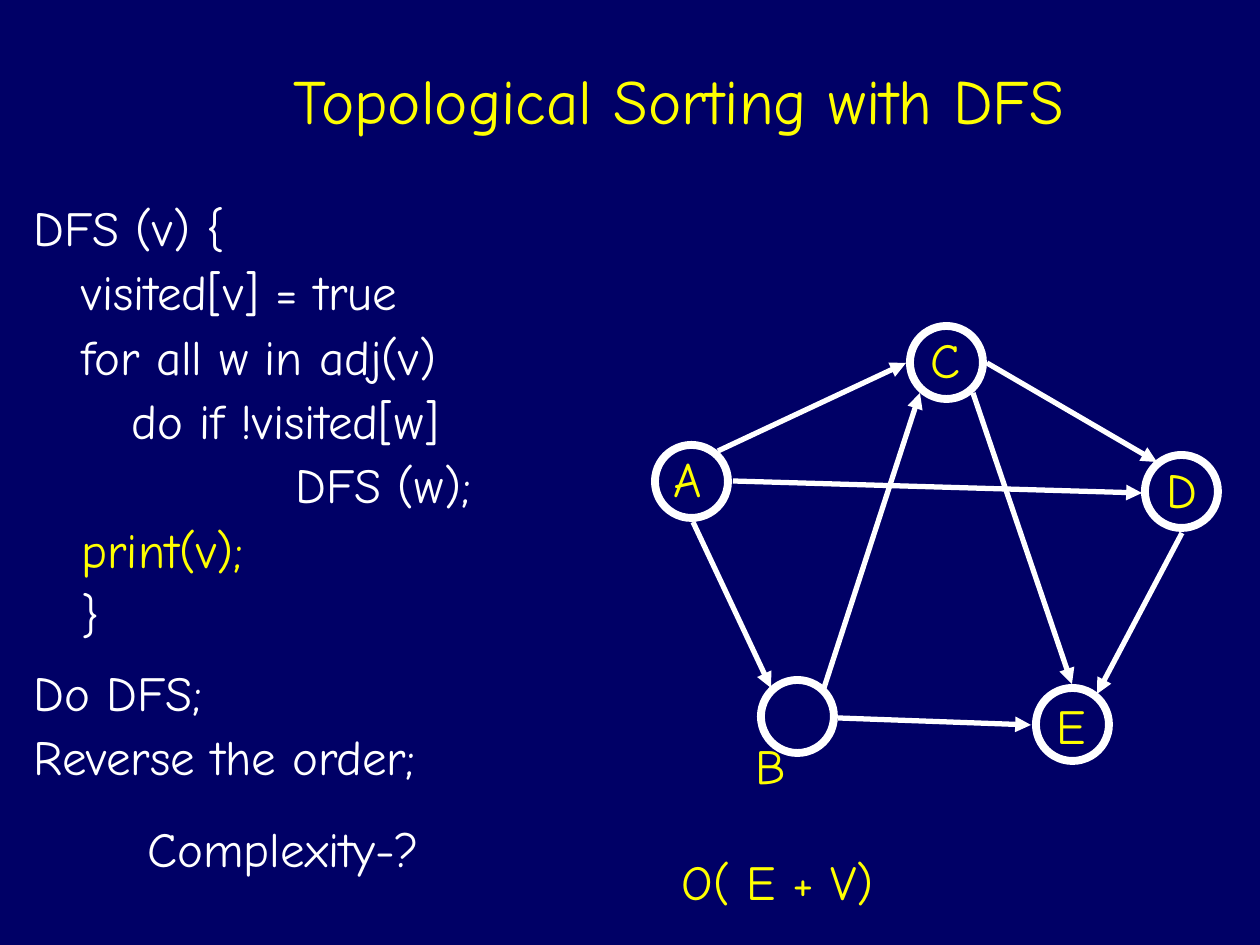
from lxml import etree
from pptx import Presentation
from pptx import util as u
from pptx.dml.color import RGBColor
from pptx.enum import shapes, text
from pptx.oxml.ns import qn

PX = 914400 // 126
FONT = "Comic Neue"
HUES = {"back": "000066", "text": "FFFFFF", "mark": "FFFF00"}
SIZE = 73  # node diameter

# Node: circle left and top, label centre and top
NODES = {
    "A": (655, 445, 688, 449),
    "B": (761, 680, 771, 736),
    "C": (910, 326, 946, 330),
    "D": (1145, 455, 1182, 460),
    "E": (1036, 688, 1071, 696),
}

# Edge: start x, y and end x, y
EDGES = [
    (718, 451, 906, 363),    # A to C
    (693, 522, 771, 688),    # A to B
    (733, 481, 1142, 493),   # A to D
    (838, 718, 1031, 725),   # B to E
    (824, 688, 920, 393),    # B to C
    (987, 363, 1157, 462),   # C to D
    (973, 393, 1072, 684),   # C to E
    (1182, 533, 1097, 694),  # D to E
]

# Code line: indent, wording, colour
CODE = [
    (0, "DFS (v) {", "text"),
    (48, "visited[v] = true", "text"),
    (48, "for all w in adj(v)", "text"),
    (98, "do if !visited[w]", "text"),
    (262, "DFS (w);", "text"),
    (48, "print(v);", "mark"),
    (48, "}", "text"),
]
STEPS = [(0, "Do DFS;", "text"), (0, "Reverse the order;", "text")]


def px(*nums):
    return [u.Emu(n * PX) for n in nums]


def color(name):
    return RGBColor.from_string(HUES[name])


def place(shape, box):
    shape.left, shape.top, shape.width, shape.height = px(*box)


def style(para, hue, size=28, align=text.PP_ALIGN.CENTER):
    para.alignment = align
    for run in para.runs:
        run.font.name = FONT
        run.font.size = u.Pt(size)
        run.font.color.rgb = color(hue)


def space(para):
    para.line_spacing = 0.9
    para.space_before = u.Pt(6.5)


def title(shape, words, box):
    place(shape, box)
    frame = shape.text_frame
    frame.text = words
    frame.auto_size = text.MSO_AUTO_SIZE.NONE
    frame.vertical_anchor = text.MSO_ANCHOR.MIDDLE
    style(frame.paragraphs[0], "mark", 36)


def listing(shape, lines, box):
    place(shape, box)
    frame = shape.text_frame
    frame.text = "\n".join(words for _, words, _ in lines)
    frame.auto_size = text.MSO_AUTO_SIZE.NONE
    frame.vertical_anchor = text.MSO_ANCHOR.TOP
    for para, (indent, _, hue) in zip(frame.paragraphs, lines):
        style(para, hue, align=text.PP_ALIGN.LEFT)
        space(para)
        # Plain indented line without a bullet
        props = para._p.get_or_add_pPr()
        props.set("marL", str(indent * PX))
        props.set("indent", "0")
        etree.SubElement(props, qn("a:buNone"))


def label(slide, words, box, hue, inset=0):
    frame = slide.shapes.add_textbox(*px(*box)).text_frame
    frame.word_wrap = True
    frame.margin_left = frame.margin_right = u.Inches(inset)
    frame.text = words
    style(frame.paragraphs[0], hue)
    space(frame.paragraphs[0])


def node(slide, name, left, top, mid, high):
    ring = slide.shapes.add_shape(
        shapes.MSO_SHAPE.OVAL, *px(left, top, SIZE, SIZE))
    ring.shadow.inherit = False
    ring.fill.background()
    ring.line.color.rgb = color("text")
    ring.line.width = u.Pt(4.5)
    label(slide, name, (mid - 30, high, 60, 66), "mark")


def arrow(slide, ends):
    line = slide.shapes.add_connector(
        shapes.MSO_CONNECTOR.STRAIGHT, *px(*ends))
    line.line.color.rgb = color("text")
    line.line.width = u.Pt(3)
    etree.SubElement(line.line._get_or_add_ln(), qn("a:tailEnd"),
                     type="triangle")
    etree.SubElement(line._element.spPr, qn("a:effectLst"))


def main():
    deck = Presentation()
    deck.slide_width, deck.slide_height = px(1260, 945)
    slide = deck.slides.add_slide(deck.slide_layouts[3])
    fill = slide.background.fill
    fill.solid()
    fill.fore_color.rgb = color("back")

    # Title and lists
    head, code, steps = slide.placeholders
    title(head, "Topological Sorting with DFS", (151, 0, 1056, 198))
    listing(code, CODE, (21, 198, 677, 459))
    listing(steps, STEPS, (21, 663, 483, 131))

    # Graph
    for ends in EDGES:
        arrow(slide, ends)
    for name, spot in NODES.items():
        node(slide, name, *spot)

    # Question and answer
    label(slide, "Complexity-?", (42, 819, 483, 66), "text", 0.1)
    label(slide, "O( E + V)", (504, 852, 547, 66), "mark", 0.1)

    deck.save("out.pptx")


if __name__ == "__main__":
    main()
